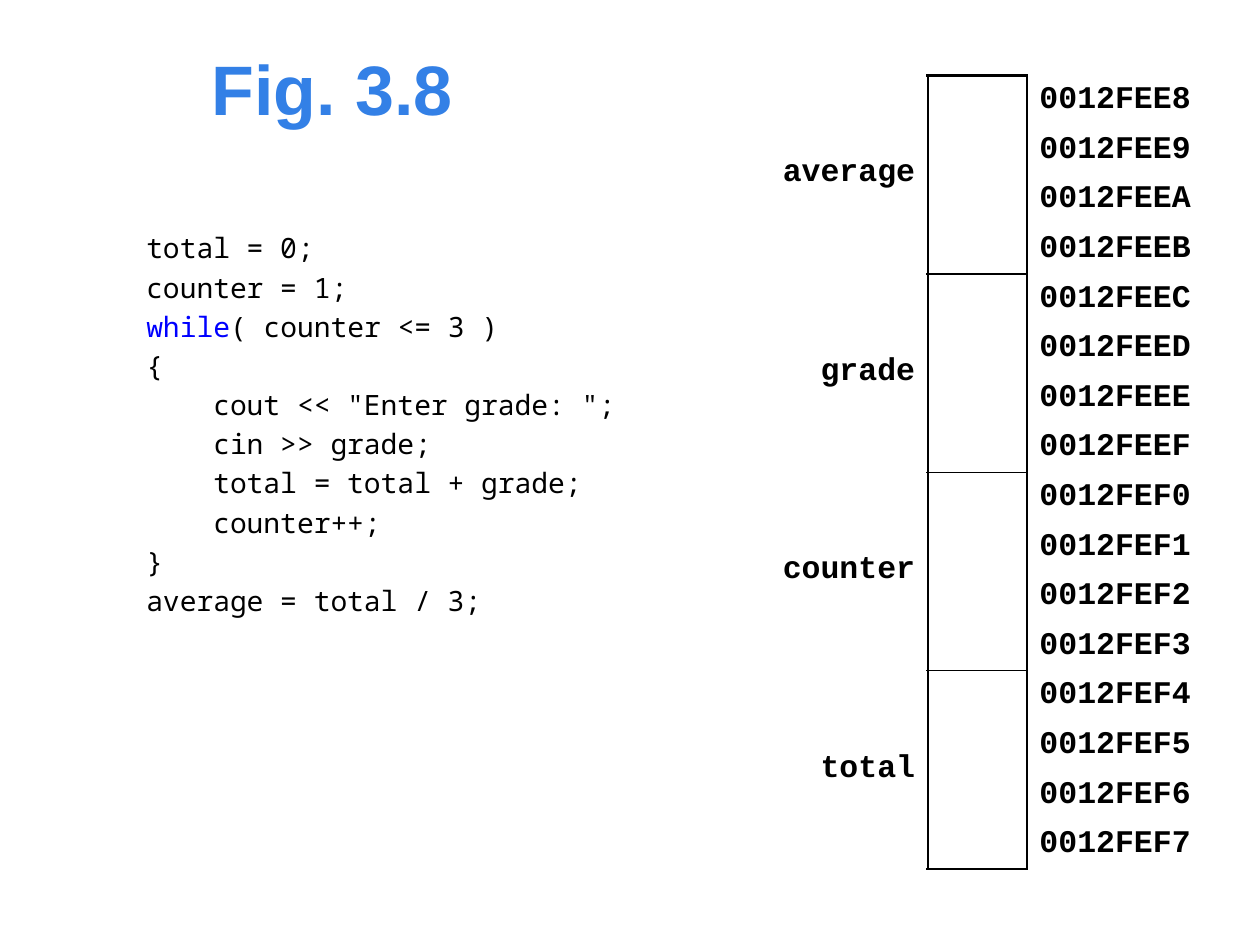
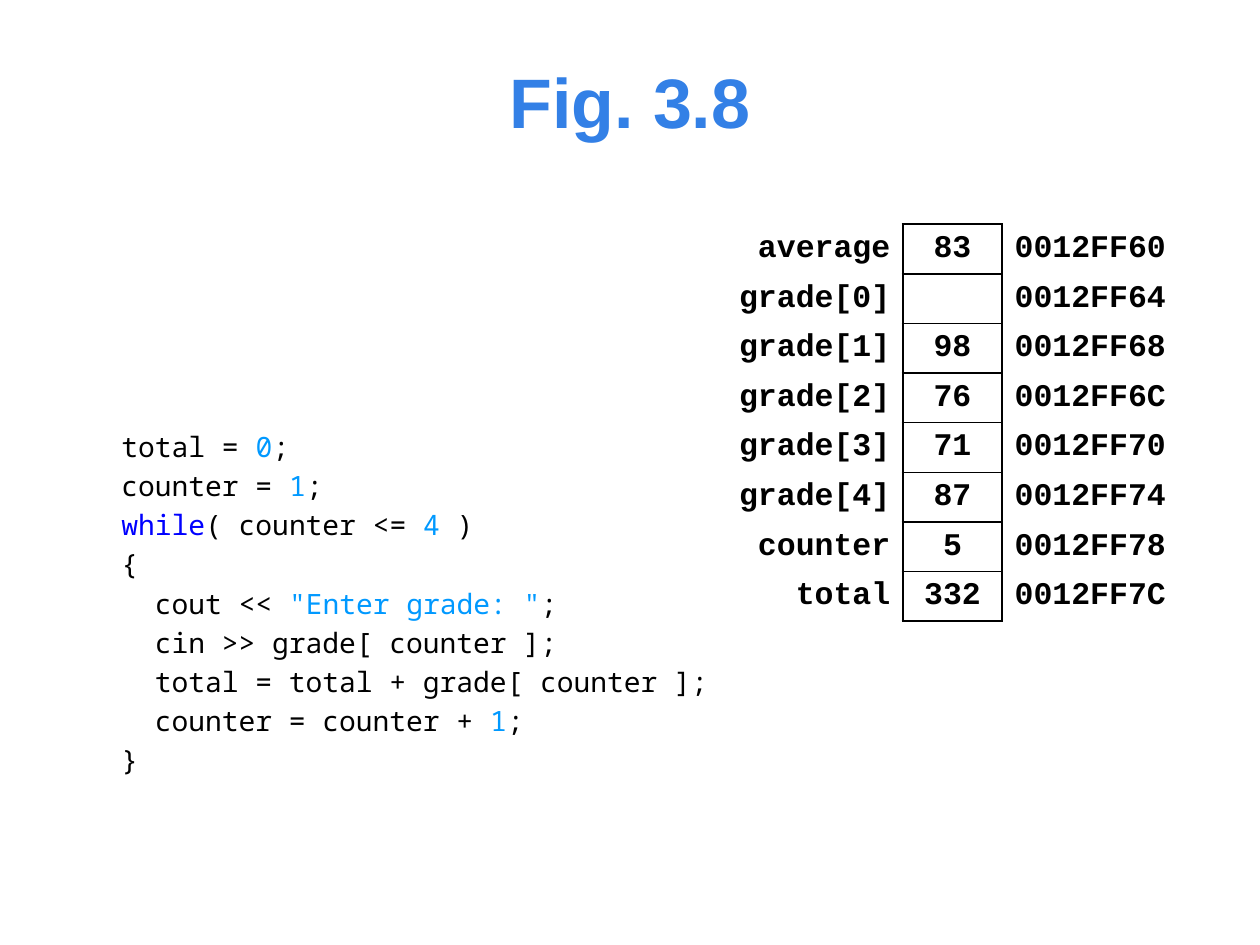
"""Build two slides that show program variables in memory beside their code."""
import lxml.etree
import pptx
import pptx.dml.color
import pptx.enum.text
import pptx.oxml.ns
import pptx.util

ALIGN = pptx.enum.text.PP_ALIGN
MIDDLE = pptx.enum.text.MSO_ANCHOR.MIDDLE
NO_STYLE = "{2D5ABB26-0587-4C30-8999-92F81FD0307C}"
NARROW, VALUE_WIDTH, WIDE = 3.5, 2, 4


def colour(value):
    return pptx.dml.color.RGBColor.from_string(value)


def cells(*counts):
    return [pptx.util.Cm(count) for count in counts]


def add_element(parent, tag, **attributes):
    return lxml.etree.SubElement(parent, pptx.oxml.ns.qn(tag), attributes)


class MemorySlides:
    """Hold the style and the current slide, on a grid of one-centimetre cells."""

    BLACK, TITLE, KEYWORD, LITERAL = "000000", "3380E6", "0000FF", "0099FF"

    def __init__(self):
        self.deck = pptx.Presentation()
        self.deck.slide_width, self.deck.slide_height = cells(25.4, 19.05)
        self.page = None

    def add_page(self):
        self.page = self.deck.slides.add_slide(self.deck.slide_layouts[6])

    def style(self, font, name, size, shade, bold=False):
        font.name, font.size, font.bold = name, pptx.util.Pt(size), bold
        font.color.rgb = colour(shade)

    def frame(self, *place):
        frame = self.page.shapes.add_textbox(*cells(*place)).text_frame
        frame.word_wrap = True
        return frame

    def title(self, text, *place):
        frame = self.frame(*place)
        frame.vertical_anchor = MIDDLE
        frame.text = text
        para = frame.paragraphs[0]
        para.alignment = ALIGN.CENTER
        self.style(para.runs[0].font, "Arial", 40, self.TITLE, True)

    def shade(self, piece):
        if piece == "while":
            return self.KEYWORD
        return self.LITERAL if piece[0].isdigit() or piece[0] == '"' else self.BLACK

    def code(self, lines, *place):
        frame = self.frame(*place)
        for index, line in enumerate(lines):
            para = frame.add_paragraph() if index else frame.paragraphs[0]
            if index:
                properties = add_element(para._p, "a:pPr")
                spacing = add_element(properties, "a:spcBef")
                add_element(spacing, "a:spcPct", val="20000")
            for piece in line.split("|"):
                span = para.add_run()
                span.text = piece
                self.style(span.font, "Noto Sans Mono", 16, self.shade(piece))

    def border(self, cell, **widths):
        properties = cell._tc.get_or_add_tcPr()
        for side, points in widths.items():
            if points:
                line = add_element(properties, "a:ln" + side, w=str(pptx.util.Pt(points)))
                fill = add_element(line, "a:solidFill")
                add_element(fill, "a:srgbClr", val=self.BLACK)

    def cell_text(self, cell, text, alignment):
        cell.text = text
        para = cell.text_frame.paragraphs[0]
        para.alignment = alignment
        for span in para.runs:
            self.style(span.font, "Courier New", 18, self.BLACK, True)

    def memory(self, variables, start, step, span, widths, left, top):
        rows = len(variables) * span
        shape = self.page.shapes.add_table(rows, 3, *cells(left, top, sum(widths), rows))
        shape.element.find(".//" + pptx.oxml.ns.qn("a:tableStyleId")).text = NO_STYLE
        table = shape.table
        table.first_row = table.horz_banding = False
        for column, width in zip(table.columns, cells(*widths)):
            column.width = width
        for row in range(rows):
            name, value, address = (table.cell(row, column) for column in range(3))
            first, last = row % span == 0, row % span == span - 1
            upper = 1 if row else 1.5
            lower = 1 if row // span < len(variables) - 1 else 1.5
            self.border(name, R=1.5)
            self.border(value, L=1.5, R=1.5, T=first and upper, B=(first or last) and lower)
            self.border(address, L=1.5)
            for cell in (name, value, address):
                cell.vertical_anchor = MIDDLE
                cell.margin_top = cell.margin_bottom = pptx.util.Cm(0.1)
                cell.fill.background()
            address.margin_right = pptx.util.Cm(0.15)
            self.cell_text(address, f"{start + row * step:08X}", ALIGN.LEFT)
            if first:
                label, content = variables[row // span]
                self.cell_text(name, label, ALIGN.RIGHT)
                self.cell_text(value, content, ALIGN.CENTER)
                if span > 1:
                    name.margin_top, name.margin_bottom = cells(0, 0.05)
                    for column in range(2):
                        table.cell(row, column).merge(table.cell(row + span - 1, column))


def main():
    slides = MemorySlides()

    slides.add_page()
    slides.title("Fig. 3.8", 0.69, 0.52, 12.02, 2.5)
    slides.code([
        "total = 0;",
        "counter = 1;",
        "while|( counter <= 3 )",
        "{",
        '    cout << "Enter grade: ";',
        "    cin >> grade;",
        "    total = total + grade;",
        "    counter++;",
        "}",
        "average = total / 3;",
    ], 2.7, 4.53, 11.5, 9.5)
    names = ["average", "grade", "counter", "total"]
    slides.memory([(name, "") for name in names], 0x0012FEE8, 1, 4,
                  (NARROW, VALUE_WIDTH, WIDE), 15.2, 1.52)

    slides.add_page()
    slides.title("Fig. 3.8", 0.69, 0.53, 24.02, 3)
    slides.code([
        "total = |0|;",
        "counter = |1|;",
        "while|( counter <= |4| )",
        "{",
        '  cout << |"Enter grade: "|;',
        "  cin >> grade[ counter ];",
        "  total = total + grade[ counter ];",
        "  counter = counter + |1|;",
        "}",
    ], 2.2, 8.53, 14, 8.5)
    grades = [(f"grade[{index}]", grade)
              for index, grade in enumerate(["", "98", "76", "71", "87"])]
    slides.memory([("average", "83"), *grades, ("counter", "5"), ("total", "332")],
                  0x0012FF60, 4, 1,
                  (WIDE, VALUE_WIDTH, NARROW), 14.2, 4.52)

    slides.deck.save("out.pptx")


if __name__ == "__main__":
    main()
